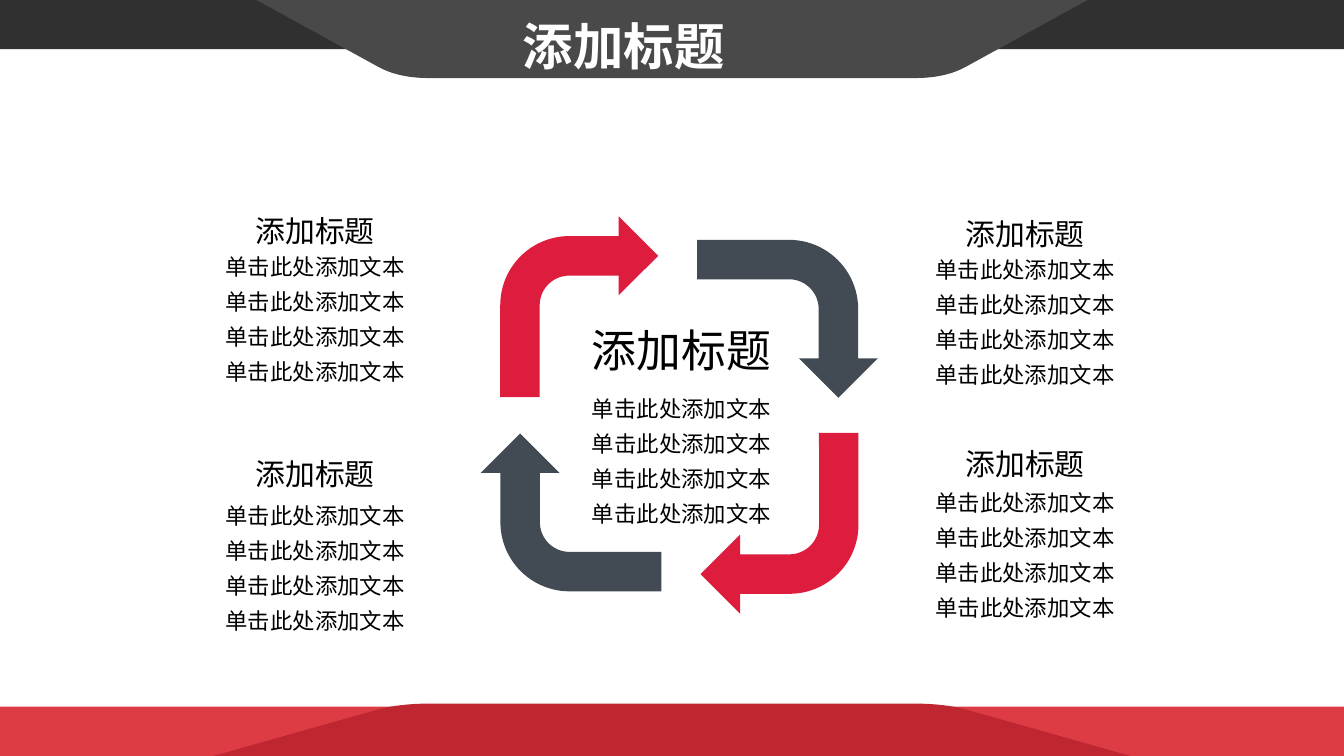
from lxml.etree import SubElement
from pptx import Presentation
from pptx.dml.color import RGBColor
from pptx.enum.shapes import MSO_SHAPE
from pptx.enum.text import MSO_ANCHOR, MSO_AUTO_SIZE, PP_ALIGN
from pptx.oxml.ns import qn
from pptx.util import Pt

WIDTH, HEIGHT = 720, 405
FONT = "Noto Sans CJK SC"
WHITE = RGBColor(0xFF, 0xFF, 0xFF)
BLACK = RGBColor(0x00, 0x00, 0x00)
CHARCOAL = RGBColor(0x30, 0x30, 0x30)
GREY = RGBColor(0x4A, 0x49, 0x49)
RED = RGBColor(0xDD, 0x3C, 0x44)
DARK_RED = RGBColor(0xBE, 0x26, 0x32)
CRIMSON = RGBColor(0xDD, 0x1C, 0x3E)
SLATE = RGBColor(0x42, 0x4A, 0x53)

HEADING = "添加标题"
BODY = ["单击此处添加文本"] * 4
LINE_HEIGHT = 1.25
BODY_PITCH = 18.75


def paint(shape, color):
    shape.shadow.inherit = False
    shape.fill.solid()
    shape.fill.fore_color.rgb = color
    shape.line.fill.background()


def add_preset(page, kind, left, top, width, height, color):
    shape = page.shapes.add_shape(kind, Pt(left), Pt(top), Pt(width), Pt(height))
    paint(shape, color)
    return shape


def write_lines(box, lines, size, pitch, color=BLACK, bold=False, align=PP_ALIGN.CENTER):
    frame = box.text_frame
    frame.auto_size = MSO_AUTO_SIZE.NONE
    frame.vertical_anchor = MSO_ANCHOR.TOP
    frame.text = "\n".join(lines)
    for para in frame.paragraphs:
        para.alignment = align
        para.line_spacing = Pt(pitch)
        para.space_before = Pt(0)
        font = para.font
        font.name, font.size, font.bold = FONT, Pt(size), bold
        font.color.rgb = color
        for span in para.runs:
            SubElement(span.font._element, qn("a:ea"), typeface=FONT)


def add_text(page, left, top, width, height, lines, size, pitch):
    box = page.shapes.add_textbox(Pt(left), Pt(top), Pt(width), Pt(height))
    box.text_frame.word_wrap = True
    write_lines(box, lines, size, pitch)


def curve(start, control1, control2, end, steps=16):
    points = []
    for step in range(steps + 1):
        t = step / steps
        weights = ((1 - t) ** 3, 3 * t * (1 - t) ** 2, 3 * t * t * (1 - t), t ** 3)
        corners = (start, control1, control2, end)
        points.append(tuple(sum(w * c[axis] for w, c in zip(weights, corners))
                            for axis in (0, 1)))
    return points


def add_plate(page, edge, corner, color):
    left_side = [edge] + curve(*corner)
    right_side = [(WIDTH - x, y) for x, y in reversed(left_side)]
    points = [(Pt(x), Pt(y)) for x, y in left_side + right_side]
    builder = page.shapes.build_freeform(*points[0], scale=1.0)
    builder.add_line_segments(points[1:], close=True)
    paint(builder.convert_to_shape(), color)


def add_footer(page, top, height):
    add_preset(page, MSO_SHAPE.RECTANGLE, 0, top, WIDTH, height, RED)
    corner = [(203, 380), (210.2, 378), (220.3, 377), (229, 377)]
    add_plate(page, (114.5, HEIGHT), corner, DARK_RED)


def add_header(page, top, height):
    add_preset(page, MSO_SHAPE.RECTANGLE, 0, top, WIDTH, height, CHARCOAL)
    corner = [(203, 36), (211, 40.3), (220.3, 41.8), (229.7, 41.8)]
    add_plate(page, (137.5, top), corner, GREY)
    title = page.shapes.title
    title.left, title.top, title.width, title.height = Pt(272.9), Pt(3), Pt(123.8), Pt(40)
    title.text_frame.word_wrap = False
    write_lines(title, [HEADING], 27, 27 * LINE_HEIGHT, WHITE, True, PP_ALIGN.LEFT)
    page.shapes._spTree.append(title._element)


def add_cycle(page, left, top):
    width, height = 84.6, 96.8
    arrows = [
        (4.4, 0, 0, CRIMSON),
        (116, 6.5, 90, SLATE),
        (0, 110.2, 270, SLATE),
        (111.7, 116, 180, CRIMSON),
    ]
    for x, y, angle, color in arrows:
        arrow = add_preset(page, MSO_SHAPE.BENT_ARROW, left + x, top + y, width, height, color)
        arrow.rotation = angle


def add_caption(page, left, top, body_gap, size=16, heading_width=108, heading_height=26.6):
    body_width = 141.8
    heading_left = left + (body_width - heading_width) / 2
    add_text(page, heading_left, top, heading_width, heading_height,
             [HEADING], size, size * LINE_HEIGHT)
    add_text(page, left, top + body_gap, body_width, 82.8, BODY, 12, BODY_PITCH)


def main():
    deck = Presentation()
    deck.slide_width, deck.slide_height = Pt(WIDTH), Pt(HEIGHT)
    page = deck.slides.add_slide(deck.slide_layouts[5])
    add_footer(page, 378.6, 26.4)
    add_header(page, 0, 26.4)
    add_cycle(page, 263.6, 115.9)
    add_caption(page, 294.2, 168, 36, 24, 129, 36)
    captions = [(478.3, 111, 18.2), (478.3, 234.4, 20), (98, 109.7, 18.2), (98, 240, 21)]
    for left, top, body_gap in captions:
        add_caption(page, left, top, body_gap)
    deck.save("out.pptx")


if __name__ == "__main__":
    main()
